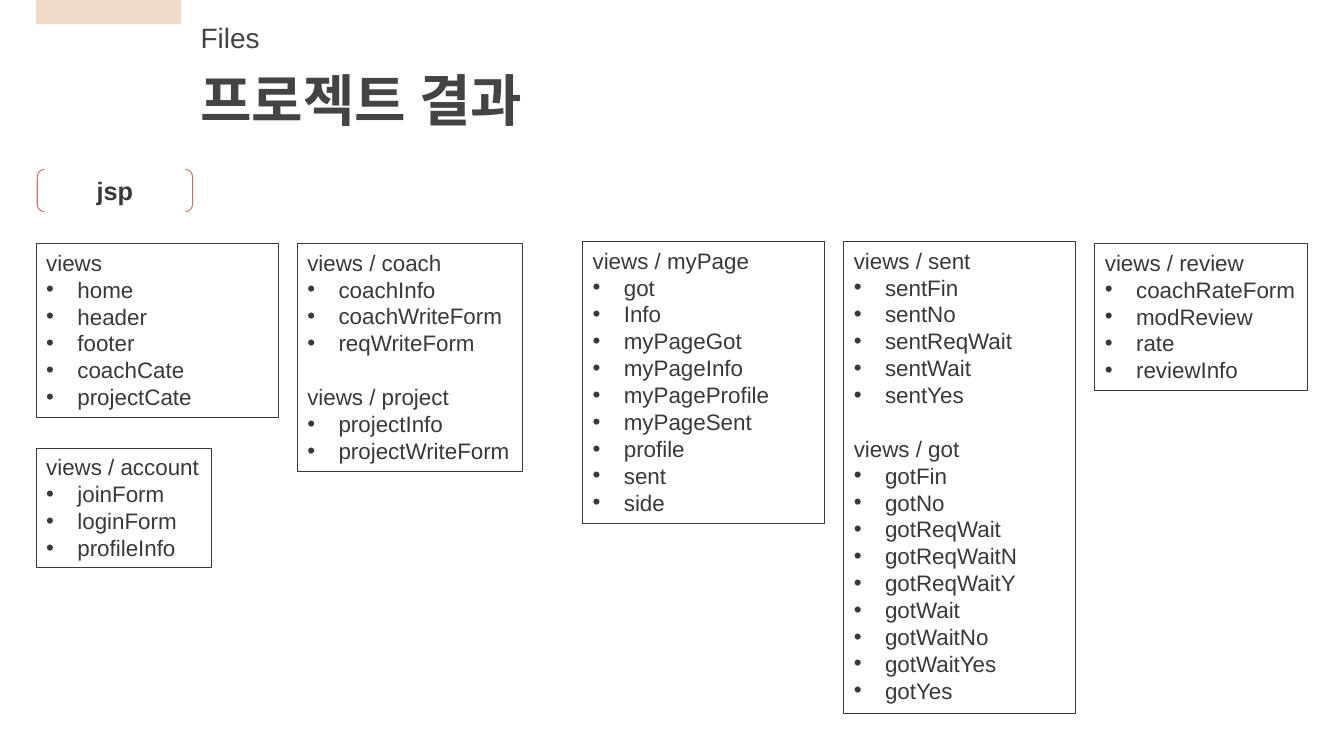
from lxml import etree
from pptx import Presentation
from pptx.dml.color import RGBColor
from pptx.enum.shapes import MSO_SHAPE
from pptx.enum.text import MSO_ANCHOR, PP_ALIGN
from pptx.oxml.ns import qn
from pptx.util import Inches, Pt

RECTANGLE, BRACKETS = MSO_SHAPE.RECTANGLE, MSO_SHAPE.DOUBLE_BRACKET
MIDDLE, CENTER = MSO_ANCHOR.MIDDLE, PP_ALIGN.CENTER
FONT = "Arial"
SAND, RUST, TITLE_GREY, INK = "EFDBC7", "C87661", "454444", "3A3838"
MARGIN = 0.36
LIST_SIZE, LIST_PITCH = 16, 19.2
LIST_INDENT = 0.31

# Each box: left, top, width, height, then its folders with their files
FOLDER_BOXES = [
    ((MARGIN, 2.42, 2.4, 1.72), {
        "views": "home header footer coachCate projectCate"}),
    ((MARGIN, 4.45, 1.74, 1.18), {
        "views / account": "joinForm loginForm profileInfo"}),
    ((2.95, 2.42, 2.23, 2.26), {
        "views / coach": "coachInfo coachWriteForm reqWriteForm",
        "views / project": "projectInfo projectWriteForm"}),
    ((5.78, 2.4, 2.4, 2.79), {
        "views / myPage": "got Info myPageGot myPageInfo myPageProfile "
                          "myPageSent profile sent side"}),
    ((8.37, 2.4, 2.3, 4.68), {
        "views / sent": "sentFin sentNo sentReqWait sentWait sentYes",
        "views / got": "gotFin gotNo gotReqWait gotReqWaitN gotReqWaitY "
                       "gotWait gotWaitNo gotWaitYes gotYes"}),
    ((10.86, 2.42, 2.11, 1.45), {
        "views / review": "coachRateForm modReview rate reviewInfo"}),
]


def colour(value):
    return RGBColor.from_string(value)


def add_panel(page, kind, box, fill=None, line=None):
    panel = page.shapes.add_shape(kind, *map(Inches, box))
    panel.shadow.inherit = False
    if fill:
        panel.fill.solid()
        panel.fill.fore_color.rgb = colour(fill)
    else:
        panel.fill.background()
    if line:
        panel.line.color.rgb = colour(line)
        panel.line.width = Pt(0.75)
    else:
        panel.line.fill.background()
    return panel


def style(para, size, ink, bold=False):
    font = para.font
    font.name, font.size, font.bold = FONT, Pt(size), bold
    font.color.rgb = colour(ink)


def add_bullet(para):
    properties = para._p.get_or_add_pPr()
    properties.set("marL", str(Inches(LIST_INDENT)))
    properties.set("indent", str(-Inches(LIST_INDENT)))
    etree.SubElement(properties, qn("a:buFont")).set("typeface", FONT)
    etree.SubElement(properties, qn("a:buChar")).set("char", "•")


def add_heading(page, box, text, size, bold=False):
    frame = page.shapes.add_textbox(*map(Inches, box)).text_frame
    frame.word_wrap = True
    para = frame.paragraphs[0]
    para.text = text
    style(para, size, TITLE_GREY, bold)


def add_header(page):
    add_panel(page, RECTANGLE, (MARGIN, 0, 1.44, 0.24), fill=SAND)
    add_heading(page, (1.89, 0.15, 1.22, 0.44), "Files", 20)
    add_heading(page, (1.89, 0.6, 4.35, 0.77), "프로젝트 결과", 40, True)


def add_section_label(page, box, text):
    frame = add_panel(page, BRACKETS, box, line=RUST).text_frame
    frame.vertical_anchor = MIDDLE
    para = frame.paragraphs[0]
    para.text = text
    para.alignment = CENTER
    style(para, 18, INK, True)


def add_folder_box(page, box, folders):
    frame = add_panel(page, RECTANGLE, box, line=INK).text_frame
    frame.word_wrap = True
    frame.vertical_anchor = MSO_ANCHOR.TOP
    para = frame.paragraphs[0]
    for number, (folder, files) in enumerate(folders.items()):
        for row, text in enumerate([folder, *files.split()]):
            if number or row:
                para = frame.add_paragraph()
            para.text = text
            para.alignment = PP_ALIGN.LEFT
            para.line_spacing = Pt(LIST_PITCH)
            if row:
                add_bullet(para)
            elif number:
                para.space_before = Pt(LIST_PITCH)
            style(para, LIST_SIZE, INK)


def main():
    deck = Presentation()
    deck.slide_width, deck.slide_height = Inches(13.33), Inches(7.5)
    page = deck.slides.add_slide(deck.slide_layouts[6])
    add_header(page)
    add_section_label(page, (0.37, 1.68, 1.54, 0.42), "jsp")
    for box, folders in FOLDER_BOXES:
        add_folder_box(page, box, folders)
    deck.save("out.pptx")


if __name__ == "__main__":
    main()
